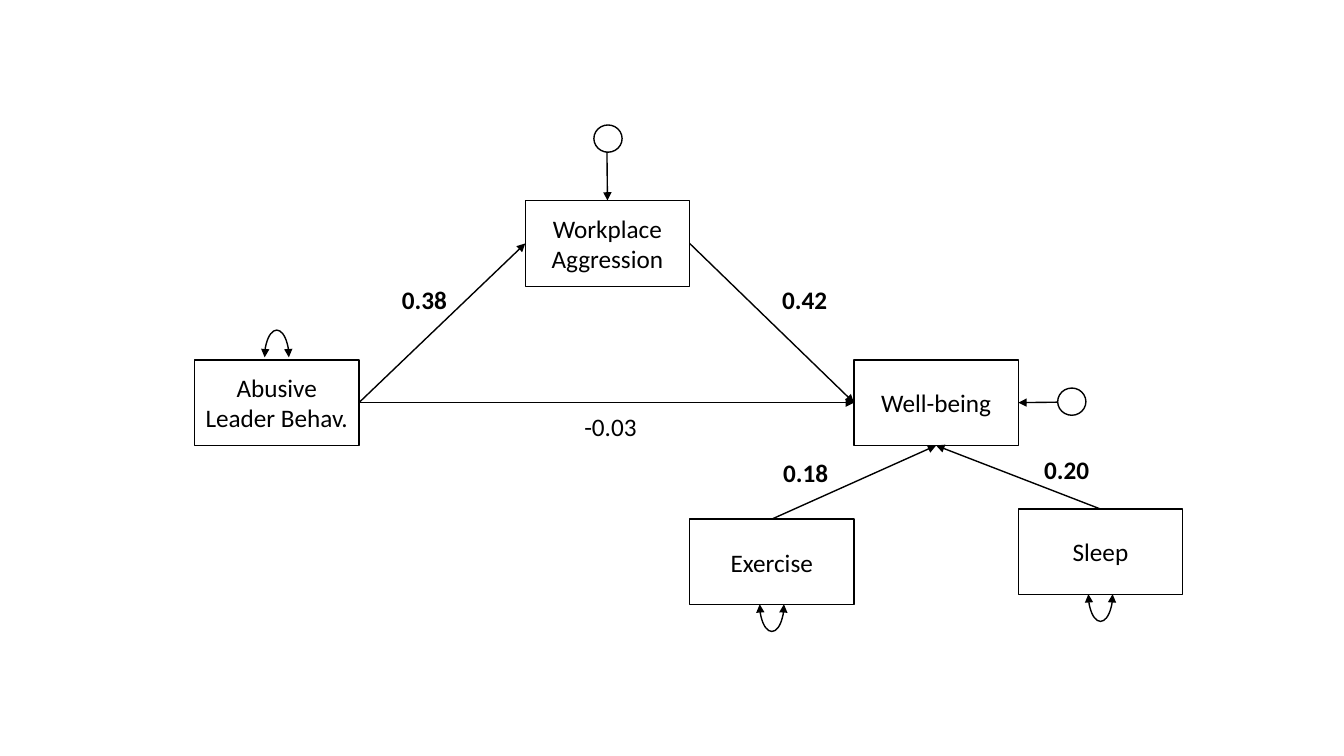
from lxml import etree
from pptx import Presentation
from pptx.dml.color import RGBColor
from pptx.enum import shapes, text
from pptx.oxml.ns import qn
from pptx.util import Inches, Pt

BLACK = "000000"
BOX_W, BOX_H = 1.63, 0.85
CIRCLE_W, CIRCLE_H = 0.28, 0.27
LOOP_W, LOOP_H = 0.27, 0.24
TOP, LEFT, BOTTOM, RIGHT = range(4)


def color(hex_code):
    return RGBColor.from_string(hex_code)


def set_line(sp):
    sp.line.color.rgb = color(BLACK)
    sp.line.width = Pt(1)


def add_arrowheads(sp, *ends):
    """Put a triangle on each of the given ends, headEnd before tailEnd."""
    ln = sp.line._get_or_add_ln()
    for end in ends:
        etree.SubElement(ln, qn(f"a:{end}"), type="triangle")


def write(tf, lines, bold=False):
    tf.vertical_anchor = text.MSO_ANCHOR.MIDDLE
    tf.text = lines
    for p in tf.paragraphs:
        p.alignment = text.PP_ALIGN.CENTER
        p.font.name = "Calibri"
        p.font.size = Pt(18)
        p.font.bold = bold
        p.font.color.rgb = color(BLACK)


def add_outline(s, kind, x, y, w, h):
    sp = s.shapes.add_shape(kind, Inches(x), Inches(y), Inches(w), Inches(h))
    sp.shadow.inherit = False
    sp.fill.background()
    set_line(sp)
    return sp


def add_variable(s, name, x, y):
    sp = add_outline(s, shapes.MSO_SHAPE.RECTANGLE, x, y, BOX_W, BOX_H)
    sp.text_frame.word_wrap = True
    write(sp.text_frame, name)
    return sp


def add_arrow(s, start, end):
    """Join two (box, side) pairs; start may also be an (x, y) point in inches."""
    cn = s.shapes.add_connector(shapes.MSO_CONNECTOR.STRAIGHT, 0, 0, 0, 0)
    if isinstance(start[0], float):
        cn.begin_x, cn.begin_y = map(Inches, start)
    else:
        cn.begin_connect(*start)
    cn.end_connect(*end)
    set_line(cn)
    add_arrowheads(cn, "tailEnd")
    etree.SubElement(cn._element.spPr, qn("a:effectLst"))


def add_residual(s, x, y):
    add_outline(s, shapes.MSO_SHAPE.OVAL, x, y, CIRCLE_W, CIRCLE_H)


def add_variance(s, box, above=False):
    """Draw the double-headed loop over or under the middle of a box."""
    cx = (box.left + box.width / 2) / Inches(1)
    cy = box.top / Inches(1) + (-0.16 if above else BOX_H + 0.13)
    sp = add_outline(s, shapes.MSO_SHAPE.RIGHT_BRACKET,
                     cx - LOOP_W / 2, cy - LOOP_H / 2, LOOP_W, LOOP_H)
    sp.adjustments[0] = 2.08
    sp.rotation = 270 if above else 90
    add_arrowheads(sp, "headEnd", "tailEnd")


def add_coefficient(s, value, x, y, w=0.66, bold=True):
    tb = s.shapes.add_textbox(Inches(x), Inches(y), Inches(w), Inches(0.48))
    tb.text_frame.word_wrap = False
    write(tb.text_frame, value, bold)


def main():
    prs = Presentation()
    prs.slide_width, prs.slide_height = Inches(13.33), Inches(7.5)
    s = prs.slides.add_slide(prs.slide_layouts[6])

    leader = add_variable(s, "Abusive Leader Behav.", 1.93, 3.57)
    aggression = add_variable(s, "Workplace\nAggression", 5.21, 1.99)
    wellbeing = add_variable(s, "Well-being", 8.47, 3.57)
    sleep = add_variable(s, "Sleep", 10.1, 5.05)
    exercise = add_variable(s, "Exercise", 6.84, 5.15)

    add_residual(s, 5.89, 1.24)
    add_residual(s, 10.49, 3.85)

    for start, end in [
        ((6.02, 1.51), (aggression, TOP)),
        ((10.49, 3.99), (wellbeing, RIGHT)),
        ((leader, RIGHT), (aggression, LEFT)),
        ((aggression, RIGHT), (wellbeing, LEFT)),
        ((leader, RIGHT), (wellbeing, LEFT)),
        ((exercise, TOP), (wellbeing, BOTTOM)),
        ((sleep, TOP), (wellbeing, BOTTOM)),
    ]:
        add_arrow(s, start, end)

    add_variance(s, leader, above=True)
    add_variance(s, exercise)
    add_variance(s, sleep)

    add_coefficient(s, "0.38", 3.88, 2.73)
    add_coefficient(s, "-0.03", 5.67, 3.99, w=0.77, bold=False)
    add_coefficient(s, "0.42", 7.65, 2.73)
    add_coefficient(s, "0.18", 7.66, 4.45)
    add_coefficient(s, "0.20", 10.25, 4.42)

    prs.save("out.pptx")


if __name__ == "__main__":
    main()
